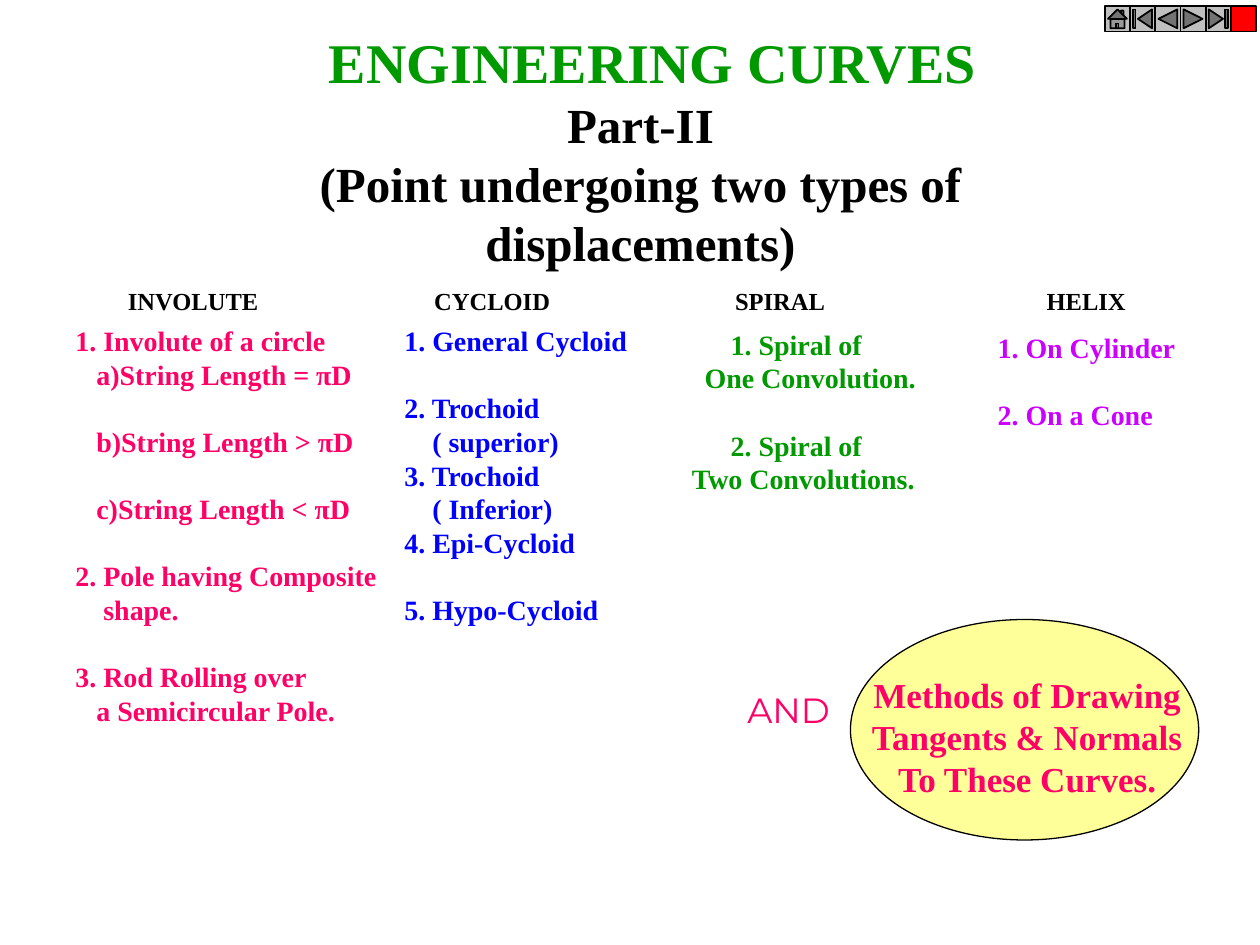
from dataclasses import dataclass

from lxml.etree import SubElement
from pptx import Presentation
from pptx.dml.color import RGBColor
from pptx.enum.shapes import MSO_SHAPE as Shape
from pptx.enum.text import MSO_ANCHOR as Anchor, MSO_AUTO_SIZE as AutoSize, PP_ALIGN as Align
from pptx.oxml.ns import qn
from pptx.util import Pt


@dataclass(frozen=True)
class Theme:
    serif: str = "Times New Roman"
    sans: str = "Montserrat"
    black: str = "000000"
    green: str = "009900"
    pink: str = "FF0066"
    blue: str = "0000FF"
    violet: str = "CC00FF"
    yellow: str = "FFFF99"
    grey: str = "C0C0C0"
    red: str = "FF0000"
    title: int = 32
    subtitle: int = 28
    callout: int = 20
    item: int = 16
    heading: int = 14
    leading: float = 1.2


THEME = Theme()


def prepare_frame(shape):
    frame = shape.text_frame
    frame.word_wrap = True
    frame.auto_size = AutoSize.NONE
    frame.vertical_anchor = Anchor.TOP
    return frame


def add_text_box(slide, box):
    return prepare_frame(slide.shapes.add_textbox(*map(Pt, box)))


def add_line(frame, text, size, color, font=THEME.serif, bold=True,
             align=Align.LEFT, inset=0, gap=False, tabs=()):
    """Add one line; a positive inset is on the left, a negative one on the right."""
    first = frame.paragraphs[0]
    paragraph = frame.add_paragraph() if first.runs else first
    props = paragraph._p.get_or_add_pPr()
    props.set("marL" if inset >= 0 else "marR", str(Pt(abs(inset))))
    paragraph.alignment = align
    paragraph.line_spacing = Pt(size * THEME.leading)
    paragraph.space_before = Pt(size * THEME.leading if gap else 0)
    if tabs:
        stops = SubElement(props, qn("a:tabLst"))
        for position in tabs:
            SubElement(stops, qn("a:tab"), pos=str(Pt(position)), algn="l")
    run = paragraph.add_run()
    run.text = text
    run.font.name, run.font.size, run.font.bold = font, Pt(size), bold
    run.font.color.rgb = RGBColor.from_string(color)


def style_shape(shape, fill, width):
    shape.shadow.inherit = False
    shape.fill.solid()
    shape.fill.fore_color.rgb = RGBColor.from_string(fill)
    shape.line.color.rgb = RGBColor.from_string(THEME.black)
    shape.line.width = Pt(width)


def place_title(slide, box):
    title = slide.shapes.title
    title.left, title.top, title.width, title.height = map(Pt, box)
    frame = prepare_frame(title)
    add_line(frame, "ENGINEERING CURVES", THEME.title, THEME.green, align=Align.CENTER)
    add_line(frame, "Part-II", THEME.subtitle, THEME.black, align=Align.CENTER, inset=-14)
    add_line(frame, "(Point undergoing two types of displacements)",
             THEME.subtitle, THEME.black, align=Align.CENTER)


def place_headings(slide, box):
    add_line(add_text_box(slide, box), "INVOLUTE\tCYCLOID\tSPIRAL\tHELIX",
             THEME.heading, THEME.black, tabs=(175, 347, 525))


def place_column(slide, box, color, lines, align=Align.LEFT):
    """Lines are (text, inset, gap before)."""
    frame = add_text_box(slide, box)
    for text, inset, gap in lines:
        add_line(frame, text, THEME.item, color, align=align, inset=inset, gap=gap)


def place_callout(slide, box):
    left, top, width, height = box
    # Joining word to the left of the ellipse
    joining = add_text_box(slide, (left - 66, top + 36, 66, 31))
    add_line(joining, "AND", THEME.callout, THEME.pink, THEME.sans, bold=False)
    # Ellipse with its caption
    group = slide.shapes.add_group_shape()
    style_shape(group.shapes.add_shape(Shape.OVAL, *map(Pt, box)), THEME.yellow, 0.75)
    caption = prepare_frame(
        group.shapes.add_textbox(*map(Pt, (left + 4, top + 27.5, width - 5, 79))))
    for text in ("Methods of Drawing", "Tangents & Normals", "To These Curves."):
        add_line(caption, text, THEME.callout, THEME.pink, align=Align.CENTER)


def place_navigation(slide, box):
    left, top, width, height = box
    buttons = (Shape.ACTION_BUTTON_HOME, Shape.ACTION_BUTTON_BEGINNING,
               Shape.ACTION_BUTTON_BACK_OR_PREVIOUS, Shape.ACTION_BUTTON_FORWARD_OR_NEXT,
               Shape.ACTION_BUTTON_END, Shape.ACTION_BUTTON_CUSTOM)
    step = width / len(buttons)
    group = slide.shapes.add_group_shape()
    for index, kind in enumerate(buttons):
        button = group.shapes.add_shape(
            kind, Pt(left + index * step), Pt(top), Pt(step), Pt(height))
        is_blank = kind == Shape.ACTION_BUTTON_CUSTOM
        style_shape(button, THEME.red if is_blank else THEME.grey, 1)


INVOLUTE = (
    ("1. Involute of a circle", 0, False),
    ("a)String Length = πD", 12, False),
    ("b)String Length > πD", 12, True),
    ("c)String Length < πD", 12, True),
    ("2. Pole having Composite", 0, True),
    ("shape.", 16, False),
    ("3. Rod Rolling over", 0, True),
    ("a Semicircular Pole.", 12, False),
)
CYCLOID = (
    ("1. General Cycloid", 0, False),
    ("2. Trochoid", 0, True),
    ("( superior)", 16, False),
    ("3. Trochoid", 0, False),
    ("( Inferior)", 16, False),
    ("4. Epi-Cycloid", 0, False),
    ("5. Hypo-Cycloid", 0, True),
)
SPIRAL = (
    ("1. Spiral of", -4, False),
    ("One Convolution.", 16, False),
    ("2. Spiral of", -4, True),
    ("Two Convolutions.", 8, False),
)
HELIX = (("1. On Cylinder", 0, False), ("2. On a Cone", 0, True))


def main():
    deck = Presentation()
    deck.slide_width, deck.slide_height = Pt(720), Pt(540)
    slide = deck.slides.add_slide(deck.slide_layouts[5])
    place_headings(slide, (66, 160, 618, 24))
    place_title(slide, (88, 12.2, 570, 113))
    place_column(slide, (36, 181.5, 195, 238), THEME.pink, INVOLUTE)
    place_column(slide, (224, 181.5, 146, 219), THEME.blue, CYCLOID)
    place_column(slide, (376, 183.5, 162, 104), THEME.green, SPIRAL, Align.CENTER)
    place_column(slide, (563, 185.5, 139, 84), THEME.violet, HELIX)
    place_callout(slide, (486, 354, 199, 126))
    place_navigation(slide, (631.4, 3.6, 86.4, 14.4))
    deck.save("out.pptx")


if __name__ == "__main__":
    main()
